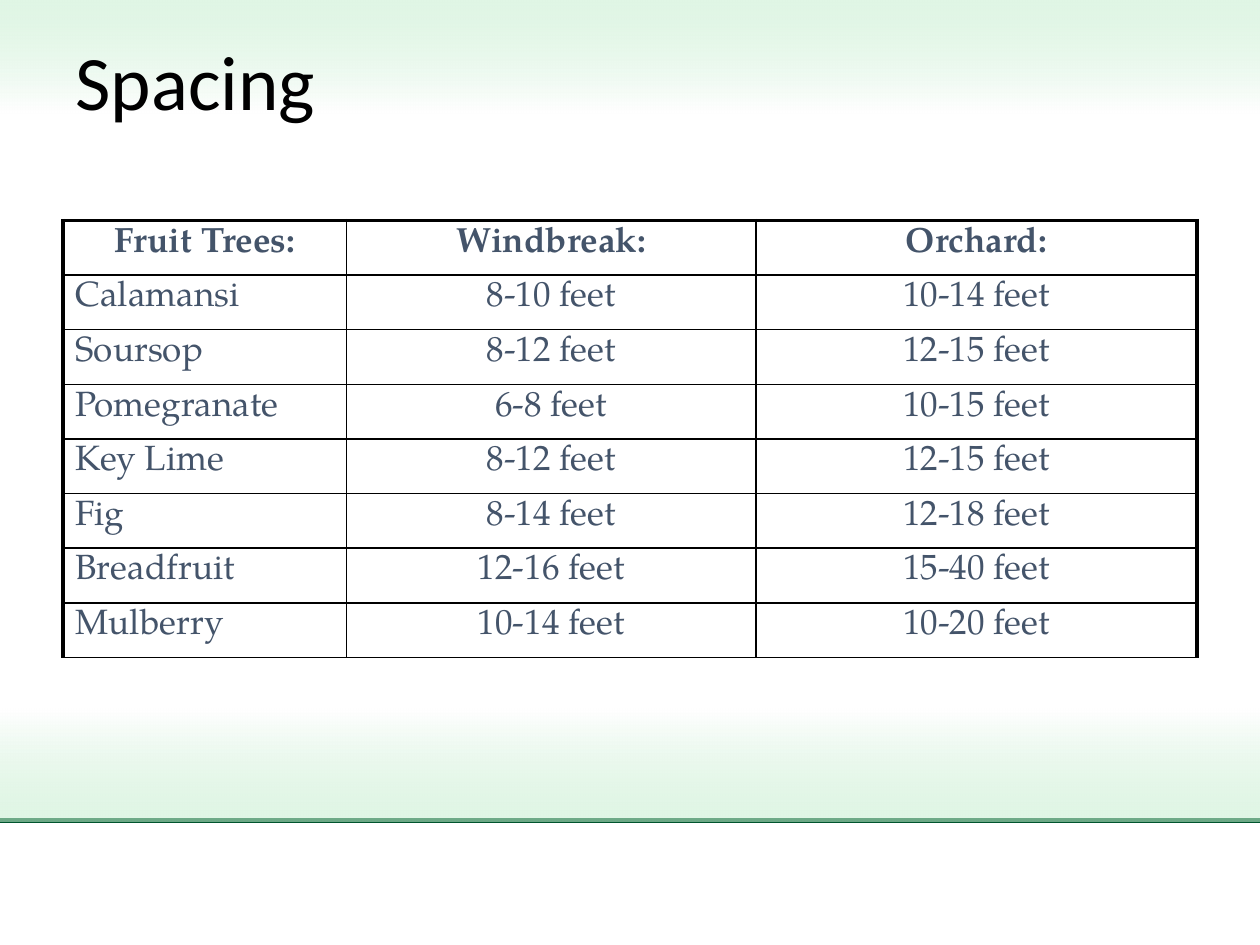
from lxml import etree
from pptx import Presentation
from pptx import util as u
from pptx.dml.color import RGBColor
from pptx.enum import shapes, text
from pptx.oxml.ns import qn

COLORS = {"line": "00542D", "mint": "C7EFD0", "white": "FFFFFF",
          "title": "000000", "border": "000000", "body": "44546A"}
ROWS = [
    ("Fruit Trees:", "Windbreak:", "Orchard:"),
    ("Calamansi", "8-10 feet", "10-14 feet"),
    ("Soursop", "8-12 feet", "12-15 feet"),
    ("Pomegranate", "6-8 feet", "10-15 feet"),
    ("Key Lime", "8-12 feet", "12-15 feet"),
    ("Fig", "8-14 feet", "12-18 feet"),
    ("Breadfruit", "12-16 feet", "15-40 feet"),
    ("Mulberry", "10-14 feet", "10-20 feet"),
]
COLUMN_WIDTHS = (2.25, 3.25, 3.5)
TABLE_HEIGHT = 3.47
THIN, THICK = 1, 2.25


def rgb(name):
    return RGBColor.from_string(COLORS[name])


class SlideBuilder:
    def __init__(self, slide):
        self.slide = slide
        self.title_font = "Calibri"
        self.body_font = "TeX Gyre Pagella"

    def style_font(self, paragraph, name, size, color, bold=False):
        for run in paragraph.runs:
            run.font.name = name
            run.font.size = u.Pt(size)
            run.font.bold = bold
            run.font.color.rgb = rgb(color)

    def line(self, left, right, y, width):
        connector = self.slide.shapes.add_connector(
            shapes.MSO_CONNECTOR.STRAIGHT,
            u.Inches(left), u.Inches(y), u.Inches(right), u.Inches(y))
        connector.line.color.rgb = rgb("line")
        connector.line.width = u.Pt(width)
        etree.SubElement(connector._element.spPr, qn("a:effectLst"))

    def band(self, top, height, rotation=0):
        shape = self.slide.shapes.add_shape(
            shapes.MSO_SHAPE.RECTANGLE,
            0, u.Inches(top), u.Inches(10), u.Inches(height))
        shape.rotation = rotation
        shape.line.fill.background()
        shape.fill.gradient()
        shape.fill.gradient_angle = 270  # counter-clockwise: runs downwards
        for stop, color in zip(shape.fill.gradient_stops, ("mint", "white")):
            stop.color.rgb = rgb(color)
        mint = next(shape._element.spPr.iter(qn("a:srgbClr")))
        etree.SubElement(mint, qn("a:alpha"), val="54000")
        shape.shadow.inherit = False

    def title(self, wording, left, top, width, height):
        title = self.slide.shapes.title
        title.left, title.top = u.Inches(left), u.Inches(top)
        title.width, title.height = u.Inches(width), u.Inches(height)
        frame = title.text_frame
        frame.text = wording
        frame.vertical_anchor = text.MSO_ANCHOR.TOP
        paragraph = frame.paragraphs[0]
        paragraph.alignment = text.PP_ALIGN.LEFT
        paragraph.line_spacing = 0.9
        self.style_font(paragraph, self.title_font, 44, "title")
        # Bring the title in front of the bands
        self.slide.shapes._spTree.append(title._element)

    def border(self, cell, side, width):
        properties = cell._tc.get_or_add_tcPr()
        line = etree.SubElement(properties, qn(f"a:ln{side}"), w=str(u.Pt(width)))
        fill = etree.SubElement(line, qn("a:solidFill"))
        etree.SubElement(fill, qn("a:srgbClr"), val=COLORS["border"])

    def table(self, rows, widths, left, top, height):
        table = self.slide.shapes.add_table(
            len(rows), len(widths), u.Inches(left), u.Inches(top),
            u.Inches(sum(widths)), u.Inches(height)).table
        table.horz_banding = False
        for column, width in zip(table.columns, widths):
            column.width = u.Inches(width)
        last = len(widths) - 1
        for r, row in enumerate(rows):
            for c, wording in enumerate(row):
                cell = table.cell(r, c)
                cell.text = wording
                paragraph = cell.text_frame.paragraphs[0]
                centred = r == 0 or c > 0
                paragraph.alignment = (
                    text.PP_ALIGN.CENTER if centred else text.PP_ALIGN.LEFT)
                self.style_font(paragraph, self.body_font, 20, "body", bold=r == 0)
                # Borders come before the fill in the cell properties
                self.border(cell, "L", THICK if c == 0 else THIN)
                self.border(cell, "R", THICK if c == last else THIN)
                self.border(cell, "T", THICK if r == 0 else THIN)
                self.border(cell, "B", THIN)
                cell.fill.background()


def main():
    presentation = Presentation()
    presentation.slide_width = u.Inches(10)
    presentation.slide_height = u.Inches(7.5)
    slide = presentation.slides.add_slide(presentation.slide_layouts[5])
    slide.background.fill.solid()
    slide.background.fill.fore_color.rgb = rgb("white")
    builder = SlideBuilder(slide)

    # Backdrop
    builder.line(-0.16, 10.16, 6.51, 3)
    builder.band(0, 0.9)
    builder.band(5.62, 0.9, rotation=180)

    # Content
    builder.title("Spacing", 0.5, 0.3, 9, 1.25)
    builder.table(ROWS, COLUMN_WIDTHS, 0.5, 1.75, TABLE_HEIGHT)

    presentation.save("out.pptx")


if __name__ == "__main__":
    main()
